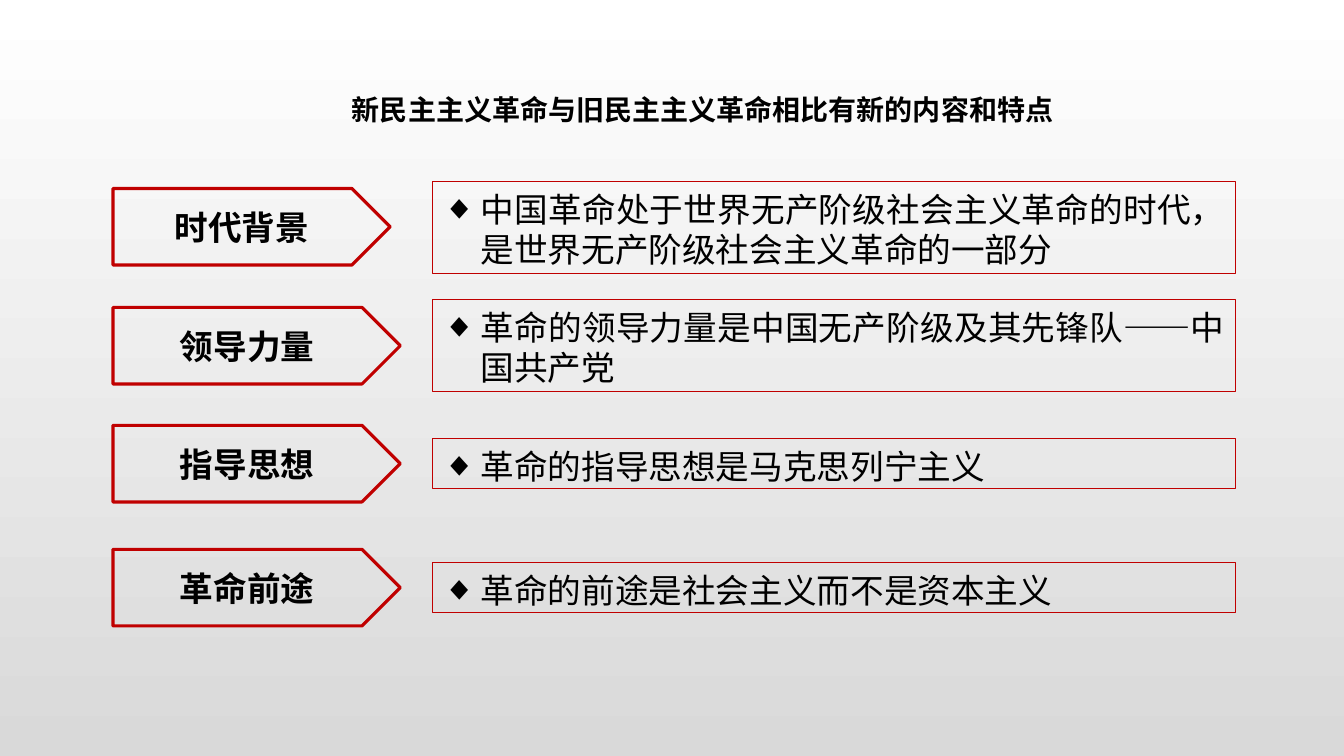
"""Build the slide comparing the new democratic revolution with the old one."""
from dataclasses import dataclass

from lxml.etree import SubElement
from pptx import Presentation
from pptx.dml.color import RGBColor
from pptx.enum.shapes import MSO_SHAPE as SHAPE
from pptx.enum.text import MSO_ANCHOR as ANCHOR, MSO_AUTO_SIZE as AUTO, PP_ALIGN as ALIGN
from pptx.oxml.ns import qn
from pptx.util import Emu, Pt

PX = 9144
FONT = "Noto Sans CJK SC"
COLORS = {"text": "000000", "red": "C00000", "top": "FFFFFF", "bottom": "D9D9D9"}
LABEL_LEFT, LABEL_HEIGHT = 112, 76
BOX_LEFT, BOX_WIDTH = 429, 796
INDENT = 38


@dataclass
class Row:
    label: str
    label_top: int
    label_width: int
    detail: str
    box_top: int
    box_height: int


ROWS = [
    Row("时代背景", 187, 275, "中国革命处于世界无产阶级社会主义革命的时代，是世界无产阶级社会主义革命的一部分", 180, 91),
    Row("领导力量", 305, 285, "革命的领导力量是中国无产阶级及其先锋队——中国共产党", 297, 91),
    Row("指导思想", 422, 285, "革命的指导思想是马克思列宁主义", 435, 50),
    Row("革命前途", 545, 285, "革命的前途是社会主义而不是资本主义", 558, 50),
]


def px(n: int) -> Emu:
    return Emu(n * PX)


def rgb(name: str) -> RGBColor:
    return RGBColor.from_string(COLORS[name])


def write(tf, text: str, size: int, bold: bool, align: ALIGN):
    """Fill a text frame with one formatted paragraph and return it."""
    tf.text = text
    tf.word_wrap = True
    tf.auto_size = AUTO.NONE
    p = tf.paragraphs[0]
    p.alignment = align
    r = p.runs[0]
    r.font.size, r.font.bold, r.font.name = Pt(size), bold, FONT
    r.font.color.rgb = rgb("text")
    SubElement(r.font._element, qn("a:ea"), typeface=FONT)
    return p


def add_outline(slide, kind: SHAPE, left: int, top: int, width: int, height: int, weight: float):
    """Add an unfilled shape with a red outline."""
    sp = slide.shapes.add_shape(kind, px(left), px(top), px(width), px(height))
    sp.shadow.inherit = False
    sp.fill.background()
    sp.line.color.rgb = rgb("red")
    sp.line.width = Pt(weight)
    return sp


def add_row(slide, row: Row) -> None:
    """Draw an arrow label and the bulleted box beside it."""
    label = add_outline(slide, SHAPE.PENTAGON, LABEL_LEFT, row.label_top,
                        row.label_width, LABEL_HEIGHT, 2.25)
    label.text_frame.vertical_anchor = ANCHOR.MIDDLE
    write(label.text_frame, row.label, 24, True, ALIGN.CENTER)

    box = add_outline(slide, SHAPE.RECTANGLE, BOX_LEFT, row.box_top,
                      BOX_WIDTH, row.box_height, 0.75)
    tf = box.text_frame
    tf.vertical_anchor = ANCHOR.TOP
    tf.margin_top = px(7)
    p = write(tf, row.detail, 24, False, ALIGN.JUSTIFY)
    p.line_spacing = Pt(29)
    pPr = p._p.get_or_add_pPr()
    pPr.set("marL", str(px(INDENT)))
    pPr.set("indent", str(px(-INDENT)))
    SubElement(pPr, qn("a:buFont"), typeface="Arial")
    SubElement(pPr, qn("a:buChar"), char="◆")


def add_title(slide, text: str) -> None:
    """Move and format the title placeholder."""
    title = slide.shapes.title
    title.left, title.top, title.width, title.height = px(258), px(51), px(818), px(84)
    tf = title.text_frame
    tf.vertical_anchor = ANCHOR.BOTTOM
    tf.margin_left, tf.margin_bottom = px(70), px(10)
    write(tf, text, 20, True, ALIGN.CENTER)


def main() -> None:
    """Build and save the presentation."""
    prs = Presentation()
    prs.slide_width, prs.slide_height = px(1333), px(750)
    slide = prs.slides.add_slide(prs.slide_layouts[5])
    fill = slide.background.fill
    fill.gradient()
    fill.gradient_angle = 270
    for stop, name, position in zip(fill.gradient_stops, ("top", "bottom"), (0, 1)):
        stop.color.rgb = rgb(name)
        stop.position = position
    add_title(slide, "新民主主义革命与旧民主主义革命相比有新的内容和特点")
    for row in ROWS:
        add_row(slide, row)
    prs.save("out.pptx")


if __name__ == "__main__":
    main()
